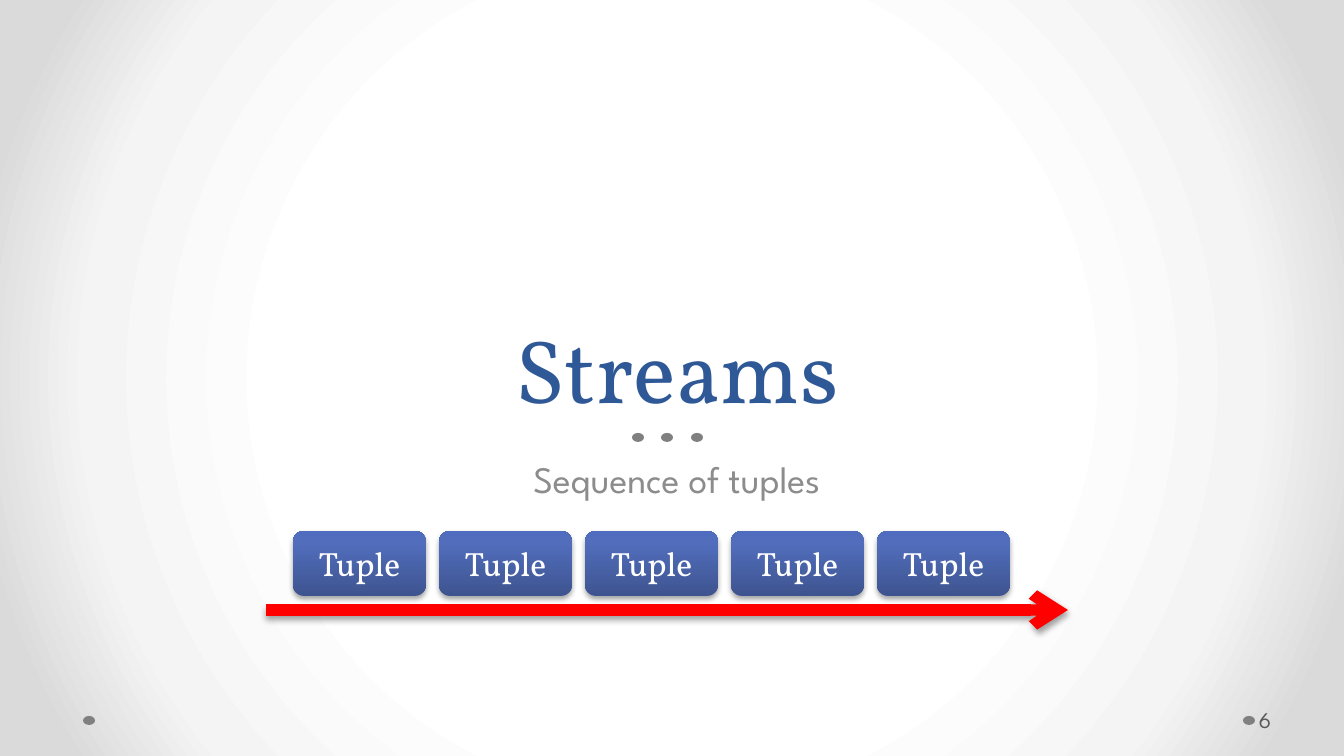
import pptx
import pptx.dml.color
import pptx.enum.shapes
import pptx.enum.text
import pptx.oxml
import pptx.oxml.ns
import pptx.util

PX = 914400 / 134.4  # EMU in one px
SHAPE = pptx.enum.shapes.MSO_SHAPE
ALIGN = pptx.enum.text.PP_ALIGN
ANCHOR = pptx.enum.text.MSO_ANCHOR

BLUE = pptx.dml.color.RGBColor(0x2F, 0x58, 0x97)
RED = pptx.dml.color.RGBColor(0xFF, 0x00, 0x00)
WHITE = pptx.dml.color.RGBColor(0xFF, 0xFF, 0xFF)
DOT_GRAY = pptx.dml.color.RGBColor(0x80, 0x80, 0x80)
TEXT_GRAY = pptx.dml.color.RGBColor(0x8C, 0x8C, 0x8C)
NUMBER_GRAY = pptx.dml.color.RGBColor(0x59, 0x59, 0x59)

SERIF = "Vollkorn"
SANS = "League Spartan"
BACKGROUND_STOPS = [(50, "FFFFFF"), (76, "F4F4F4"), (92, "DADADA")]
TUPLE_STOPS = [(0, "3E5490"), (80, "516DBB"), (100, "4F6CBE")]
RADIAL = '<a:path {} path="circle"><a:fillToRect l="50000" t="50000" r="50000" b="50000"/></a:path>'
UPWARD = '<a:lin {} ang="16200000" scaled="0"/>'
SHADOW = ('<a:effectLst {} ><a:outerShdw blurRad="39400" dist="22000" dir="5400000" rotWithShape="0">'
          '<a:srgbClr val="000000"><a:alpha val="36000"/></a:srgbClr></a:outerShdw></a:effectLst>')


def append_xml(parent, xml):
    parent.append(pptx.oxml.parse_xml(xml.format(pptx.oxml.ns.nsdecls("a"))))


def write_text(shape, text, *, font, size, color, align=ALIGN.CENTER,
               anchor=ANCHOR.MIDDLE, wrap=True, space_before=0):
    frame = shape.text_frame
    frame.word_wrap = wrap
    frame.auto_size = pptx.enum.text.MSO_AUTO_SIZE.NONE
    frame.vertical_anchor = anchor
    paragraph = frame.paragraphs[0]
    paragraph.alignment = align
    paragraph.space_before = pptx.util.Pt(space_before)
    run = paragraph.add_run()
    run.text = text
    run.font.name = font
    run.font.size = pptx.util.Pt(size)
    run.font.color.rgb = color


presentation = pptx.Presentation()
presentation.slide_width = round(1344 * PX)
presentation.slide_height = round(756 * PX)
slide = presentation.slides.add_slide(presentation.slide_layouts[0])

# Background, whose gradient stops are set further down
slide.background.fill.gradient()
background = slide._element.xpath("./p:cSld/p:bg//a:gradFill")[0]
gradients = [(background, BACKGROUND_STOPS, RADIAL)]

# Decorative dots: two in the footer, three under the title
for left, top in [(1243, 716), (83, 716), (632, 433), (661, 433), (691, 433)]:
    dot = slide.shapes.add_shape(
        SHAPE.OVAL, *[round(v * PX) for v in (left, top, 12, 9)])
    dot.fill.solid()
    dot.fill.fore_color.rgb = DOT_GRAY
    dot.line.fill.background()
    dot.shadow.inherit = False

# Title and subtitle
title = slide.shapes.title
title.left, title.top, title.width, title.height = [
    round(v * PX) for v in (106, 152, 1142, 276)]
write_text(title, "Streams", font=SERIF, size=48, color=BLUE, anchor=ANCHOR.BOTTOM)

subtitle = slide.placeholders[1]
subtitle.left, subtitle.top, subtitle.width, subtitle.height = [
    round(v * PX) for v in (106, 449, 1142, 125)]
write_text(subtitle, "Sequence of tuples", font=SANS, size=20, color=TEXT_GRAY,
           anchor=ANCHOR.TOP, space_before=4)

# Stream arrow
stream = slide.shapes.add_group_shape()
arrow = stream.shapes.add_connector(
    pptx.enum.shapes.MSO_CONNECTOR.STRAIGHT,
    *[round(v * PX) for v in (266, 610, 1068, 610)])
arrow.line.color.rgb = RED
arrow.line.width = pptx.util.Pt(6)
append_xml(arrow.line._get_or_add_ln(), '<a:tailEnd {} type="arrow"/>')
append_xml(arrow._element.spPr, SHADOW)

# Tuples riding on the stream
for index in range(5):
    box = stream.shapes.add_shape(
        SHAPE.ROUNDED_RECTANGLE,
        *[round(v * PX) for v in (293 + 146 * index, 531, 133, 65)])
    box.fill.gradient()
    box.line.fill.background()
    append_xml(box._element.spPr, SHADOW)
    write_text(box, "Tuple", font=SERIF, size=18, color=WHITE, wrap=False)
    gradients.append((box._element.xpath("./p:spPr/a:gradFill")[0], TUPLE_STOPS, UPWARD))

# Gradient stops and directions
for gradient, stops, direction in gradients:
    for child in list(gradient):
        gradient.remove(child)
    stop_xml = "".join(
        f'<a:gs pos="{position * 1000}"><a:srgbClr val="{color}"/></a:gs>'
        for position, color in stops)
    append_xml(gradient, "<a:gsLst {}>" + stop_xml + "</a:gsLst>")
    append_xml(gradient, direction)

# Slide number
number = slide.shapes.add_textbox(*[round(v * PX) for v in (1255, 700, 82, 40)])
number.text_frame.margin_left = round(4 * PX)
number.text_frame.margin_right = round(7 * PX)
write_text(number, "6", font=SANS, size=12, color=NUMBER_GRAY, align=ALIGN.LEFT)

presentation.save("out.pptx")
